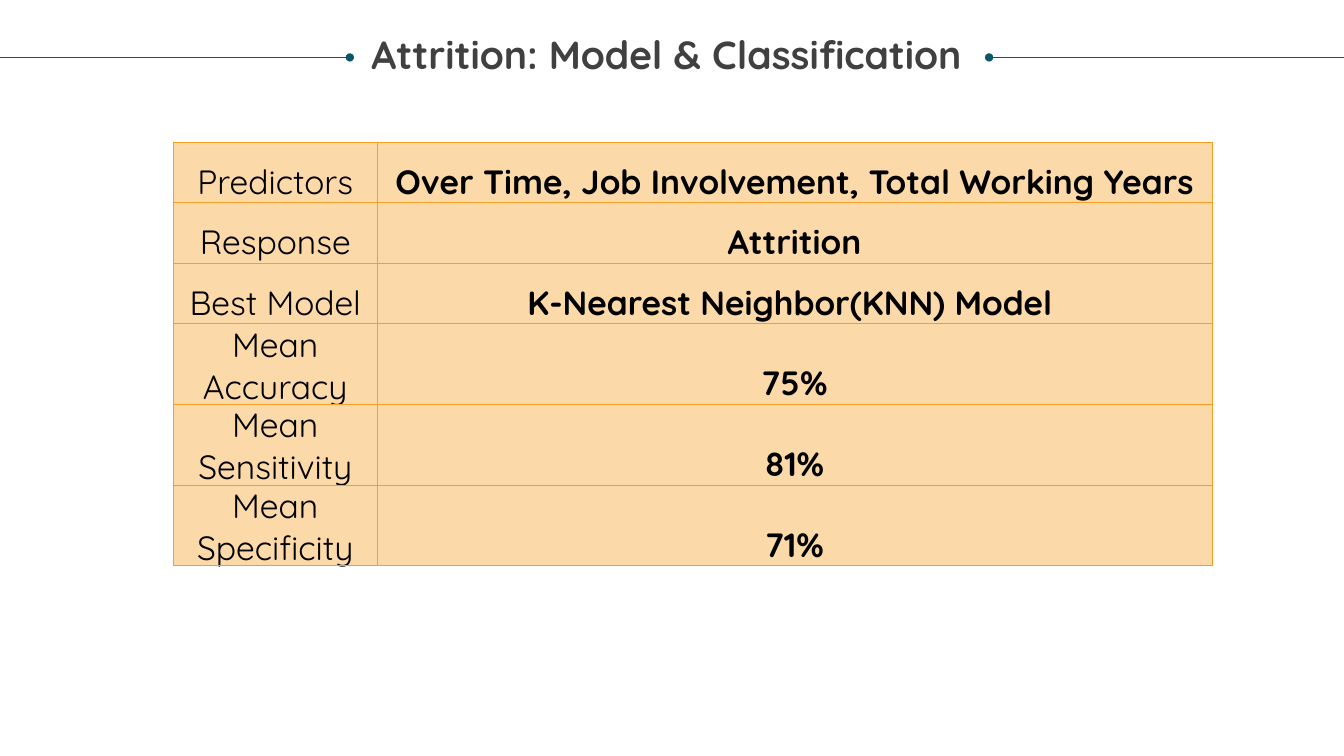
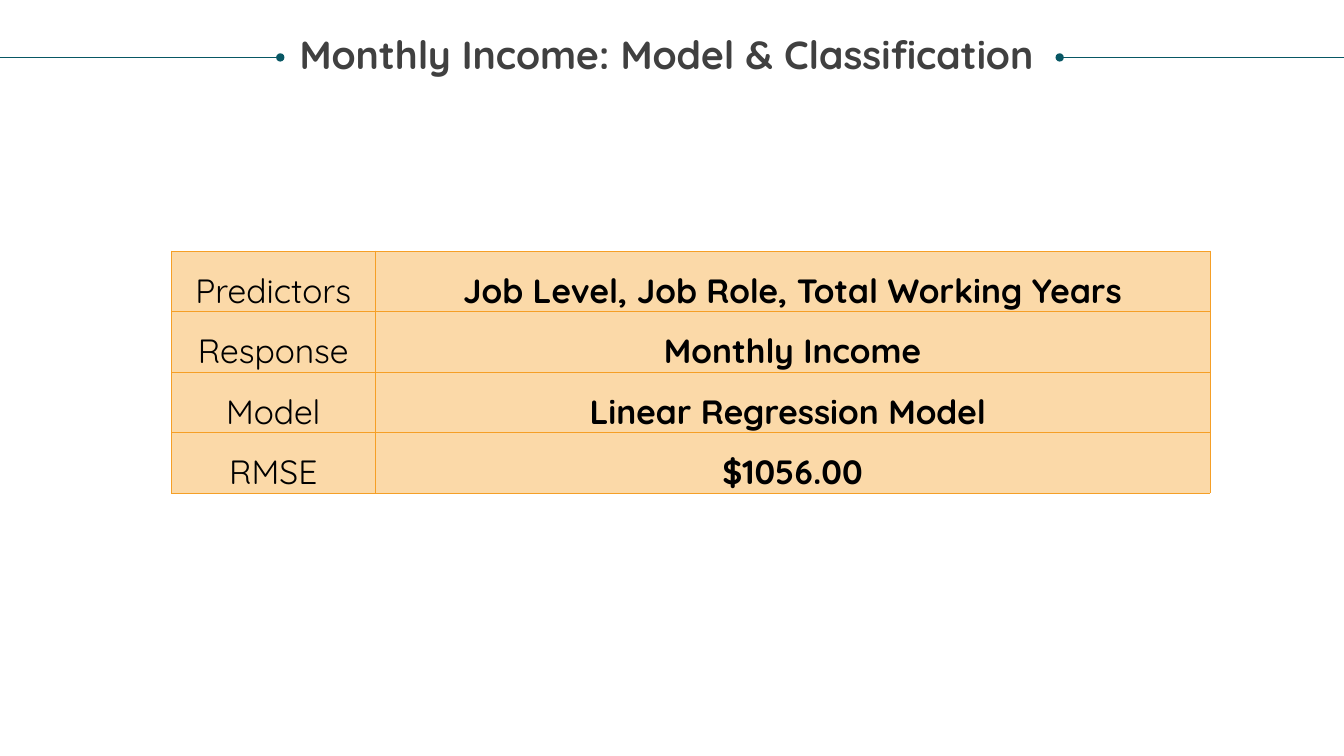
from lxml import etree
from pptx import Presentation
from pptx import util as u
from pptx.dml.color import RGBColor
from pptx.enum import shapes, text
from pptx.oxml.ns import qn

FONT = "Quicksand"
TEAL, GREY, BLACK = "085764", "404040", "000000"
ORANGE, PEACH = "F59F26", "FBD9A8"
SLIDE_WIDTH, SLIDE_HEIGHT = 13.33, 7.5
RULE_Y = 0.57
COLUMN_WIDTHS = (2.02, 8.28)
ROW_HEIGHT = 0.6

# Rules run from the slide edges to the two x positions in "rule_ends".
# A closing space in a text is part of what gets centred.
SLIDES = [
    {
        "title": "Attrition: Model & Classification ",
        "rule_ends": (3.47, 9.81),
        "table_at": (1.72, 1.41),
        "rows": [
            ("Predictors", "Over Time, Job Involvement, Total Working Years"),
            ("Response", "Attrition"),
            ("Best Model", "K-Nearest Neighbor(KNN) Model "),
            ("Mean Accuracy", "75%"),
            ("Mean Sensitivity", "81%"),
            ("Mean Specificity", "71%"),
        ],
    },
    {
        "title": "Monthly Income: Model & Classification ",
        "rule_ends": (2.78, 10.51),
        "table_at": (1.7, 2.49),
        "rows": [
            ("Predictors", "Job Level, Job Role, Total Working Years"),
            ("Response", "Monthly Income"),
            ("Model", "Linear Regression Model "),
            ("RMSE", "$1056.00"),
        ],
    },
]


def color(value):
    return RGBColor.from_string(value)


def write(frame, words, size, ink, bold):
    """Put one centred paragraph in a frame without margins."""
    frame.word_wrap = True
    para = frame.paragraphs[0]
    para.text = words
    para.alignment = text.PP_ALIGN.CENTER
    para.font.name = FONT
    para.font.size = u.Pt(size)
    para.font.bold = bold
    para.font.color.rgb = color(ink)
    return para


def clear_margins(holder):
    holder.margin_left = holder.margin_top = 0
    holder.margin_right = holder.margin_bottom = 0


def add_title(page, words):
    box = page.shapes.add_textbox(
        u.Inches(0.25), u.Inches(0.35), u.Inches(12.83), u.Inches(0.42))
    clear_margins(box.text_frame)
    write(box.text_frame, words, 28, GREY, True).line_spacing = 0.9


def add_rule(page, edge, end):
    """Draw a line from the slide edge to a round dot beside the title."""
    rule = page.shapes.add_connector(
        shapes.MSO_CONNECTOR.STRAIGHT,
        u.Inches(edge), u.Inches(RULE_Y), u.Inches(end), u.Inches(RULE_Y))
    rule.line.color.rgb = color(TEAL)
    rule.line.width = u.Pt(0.5)
    etree.SubElement(rule.line._get_or_add_ln(), qn("a:tailEnd"), type="oval")
    etree.SubElement(rule._element.spPr, qn("a:effectLst"))


def add_borders(cell):
    properties = cell._tc.get_or_add_tcPr()
    for side in ("a:lnL", "a:lnR", "a:lnT", "a:lnB"):
        line = etree.SubElement(properties, qn(side), w=str(u.Pt(0.5)))
        fill = etree.SubElement(line, qn("a:solidFill"))
        etree.SubElement(fill, qn("a:srgbClr"), val=ORANGE)


def add_summary(page, position, rows):
    left, top = position
    table = page.shapes.add_table(
        len(rows), len(COLUMN_WIDTHS), u.Inches(left), u.Inches(top),
        u.Inches(sum(COLUMN_WIDTHS)), u.Inches(ROW_HEIGHT * len(rows))).table
    table.first_row = table.horz_banding = False
    for column, width in zip(table.columns, COLUMN_WIDTHS):
        column.width = u.Inches(width)
    for r, row in enumerate(rows):
        table.rows[r].height = u.Inches(ROW_HEIGHT)
        for c, words in enumerate(row):
            cell = table.cell(r, c)
            clear_margins(cell)
            cell.vertical_anchor = text.MSO_ANCHOR.BOTTOM
            write(cell.text_frame, words, 24, BLACK, c == 1)
            add_borders(cell)
            cell.fill.solid()
            cell.fill.fore_color.rgb = color(PEACH)


def main():
    deck = Presentation()
    deck.slide_width = u.Inches(SLIDE_WIDTH)
    deck.slide_height = u.Inches(SLIDE_HEIGHT)
    for content in SLIDES:
        page = deck.slides.add_slide(deck.slide_layouts[6])
        add_title(page, content["title"])
        for edge, end in zip((0, SLIDE_WIDTH), content["rule_ends"]):
            add_rule(page, edge, end)
        add_summary(page, content["table_at"], content["rows"])
    deck.save("out.pptx")


if __name__ == "__main__":
    main()
